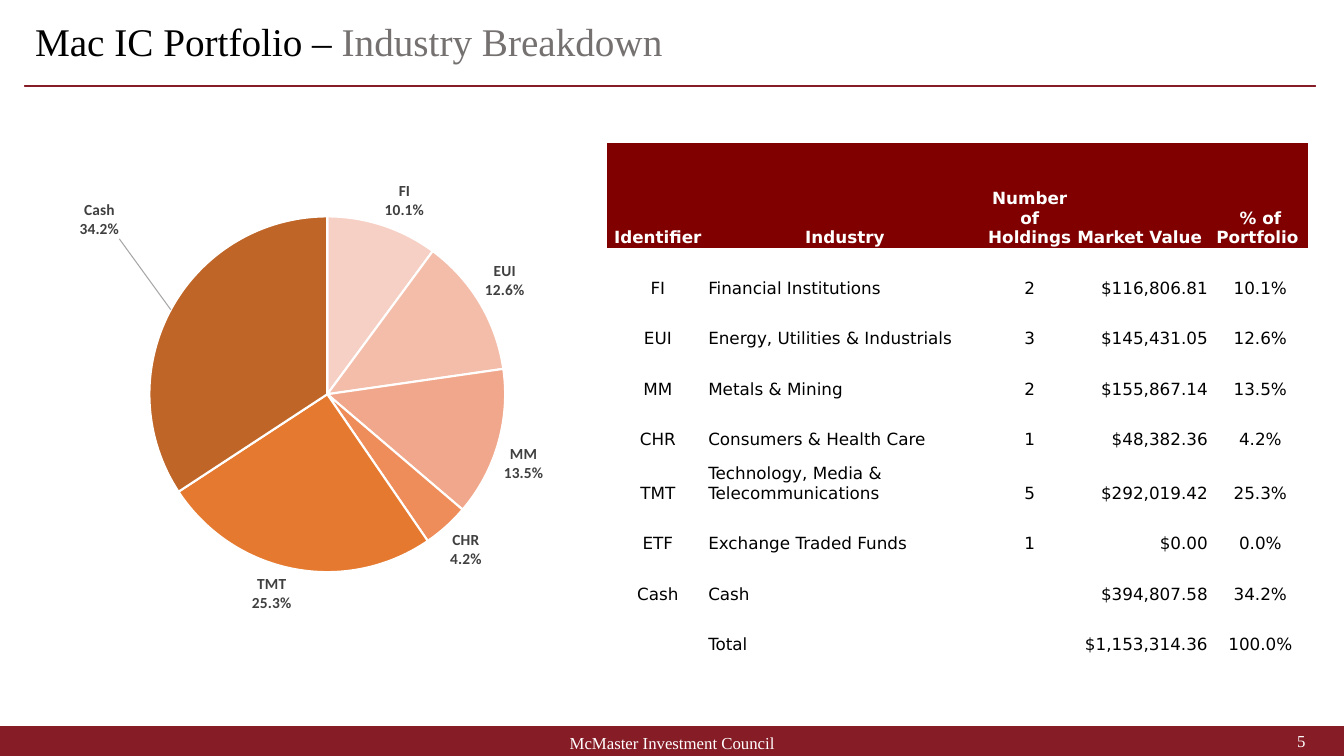
from copy import deepcopy
from dataclasses import dataclass

from lxml.etree import SubElement
from pptx import Presentation
from pptx.chart.data import CategoryChartData
from pptx.dml.color import RGBColor
from pptx.enum.chart import XL_CHART_TYPE, XL_LABEL_POSITION
from pptx.enum.shapes import MSO_SHAPE
from pptx.enum.text import MSO_ANCHOR, PP_ALIGN
from pptx.oxml import parse_xml
from pptx.oxml.ns import nsdecls, qn
from pptx.slide import Slide
from pptx.util import Pt

MAROON = RGBColor(0x86, 0x1C, 0x26)
HEADER_RED = RGBColor(0x80, 0x00, 0x00)
BLACK = RGBColor(0x00, 0x00, 0x00)
WHITE = RGBColor(0xFF, 0xFF, 0xFF)
TITLE_GREY = RGBColor(0x76, 0x71, 0x71)
LABEL_GREY = RGBColor(0x40, 0x40, 0x40)
SERIF, TABLE_FONT, CHART_FONT = "Times New Roman", "DejaVu Sans", "Calibri"
PERCENT_FORMAT = r"0.0%;\(0.0%\)"
NO_TABLE_STYLE = "{2D5ABB26-0587-4C30-8999-92F81FD0307C}"
LEFT, CENTER, RIGHT = PP_ALIGN.LEFT, PP_ALIGN.CENTER, PP_ALIGN.RIGHT


@dataclass
class Bar:
    left: float
    top: float
    width: float
    height: float


@dataclass
class Caption:
    left: float
    top: float
    width: float
    height: float
    spans: list[tuple[str, RGBColor]]
    size: float
    align: PP_ALIGN


@dataclass
class Column:
    heading: str
    width: float
    align: PP_ALIGN


@dataclass
class Industry:
    identifier: str
    name: str
    holdings: str
    value: str
    share: float
    color: RGBColor | None = None
    height: float = 36.1

    def texts(self) -> list[str]:
        return [self.identifier, self.name, self.holdings, self.value, f"{self.share:.1%}"]


BARS = [Bar(0, 519.1, 960, 23.8), Bar(18, 61.2, 921.6, 0.7)]
CAPTIONS = [
    Caption(18, 13.7, 921.6, 34.6,
            [("Mac IC Portfolio – ", BLACK), ("Industry Breakdown", TITLE_GREY)], 28, LEFT),
    Caption(318.2, 524.2, 324, 14.4, [("McMaster Investment Council", WHITE)], 12, CENTER),
    Caption(723.6, 522.7, 216, 14.4, [("5", WHITE)], 12, RIGHT),
]
COLUMNS = [
    Column(" Identifier ", 72, CENTER),
    Column("Industry ", 199.4, LEFT),
    Column("Number of Holdings ", 60.5, CENTER),
    Column("Market Value ", 100.8, RIGHT),
    Column("% of Portfolio ", 67.4, CENTER),
]
INDUSTRIES = [
    Industry("FI", "Financial Institutions", "2", "$116,806.81 ", 0.101, RGBColor(0xF7, 0xD0, 0xC5)),
    Industry("EUI", "Energy, Utilities & Industrials", "3", "$145,431.05 ", 0.126,
             RGBColor(0xF4, 0xBD, 0xAA)),
    Industry("MM", "Metals & Mining", "2", "$155,867.14 ", 0.135, RGBColor(0xF1, 0xA7, 0x8B)),
    Industry("CHR", "Consumers & Health Care", "1", "$48,382.36 ", 0.042, RGBColor(0xEE, 0x8C, 0x5A)),
    Industry("TMT", "Technology, Media & Telecommunications", "5", "$292,019.42 ", 0.253,
             RGBColor(0xE5, 0x79, 0x2F), 38.2),
    Industry("ETF", "Exchange Traded Funds", "1", "$0.00 ", 0, RGBColor(0xD2, 0x6F, 0x2B)),
    Industry("Cash", "Cash", "", "$394,807.58 ", 0.342, RGBColor(0xBF, 0x65, 0x28)),
]
TOTAL = Industry("", "Total", "", "$1,153,314.36 ", 1)


def draw_bar(page: Slide, bar: Bar) -> None:
    shape = page.shapes.add_shape(MSO_SHAPE.RECTANGLE, Pt(bar.left), Pt(bar.top),
                                  Pt(bar.width), Pt(bar.height))
    shape.shadow.inherit = False
    shape.fill.solid()
    shape.fill.fore_color.rgb = MAROON
    shape.line.color.rgb = MAROON
    shape.line.width = Pt(1)


def draw_caption(page: Slide, caption: Caption) -> None:
    box = page.shapes.add_textbox(Pt(caption.left), Pt(caption.top),
                                  Pt(caption.width), Pt(caption.height))
    box.text_frame.word_wrap = True
    box.text_frame.vertical_anchor = MSO_ANCHOR.MIDDLE
    para = box.text_frame.paragraphs[0]
    para.alignment = caption.align
    para.line_spacing = 0.9
    for text, color in caption.spans:
        span = para.add_run()
        span.text = text
        span.font.name, span.font.size = SERIF, Pt(caption.size)
        span.font.color.rgb = color


def draw_pie(page: Slide) -> None:
    data = CategoryChartData(number_format=PERCENT_FORMAT)
    data.categories = [industry.identifier for industry in INDUSTRIES]
    data.add_series("Series 1", [industry.share for industry in INDUSTRIES])
    chart = page.shapes.add_chart(XL_CHART_TYPE.PIE, Pt(0), Pt(72.7), Pt(472.3), Pt(405.4),
                                  data).chart
    chart.has_legend = chart.has_title = False
    chart.font.name, chart.font.size = CHART_FONT, Pt(10)
    chart.font.color.rgb = BLACK
    plot = chart.plots[0]
    plot.vary_by_categories = True
    series = plot.series[0]
    for index, industry in enumerate(INDUSTRIES):
        wedge = series.points[index].format
        wedge.fill.solid()
        wedge.fill.fore_color.rgb = industry.color
        wedge.line.color.rgb = WHITE
        wedge.line.width = Pt(1.5)

    # Plot area position
    area = chart.element.find(".//" + qn("c:plotArea"))
    for old in area.findall(qn("c:layout")):
        area.remove(old)
    area.insert(0, parse_xml(
        f'<c:layout {nsdecls("c")}><c:manualLayout><c:layoutTarget val="inner"/>'
        '<c:xMode val="edge"/><c:yMode val="edge"/><c:x val="0.226"/><c:y val="0.141"/>'
        '<c:w val="0.538"/><c:h val="0.749"/></c:manualLayout></c:layout>'))

    # Labels shared by all slices
    labels = series.data_labels
    labels.show_value = labels.show_category_name = True
    labels.number_format, labels.number_format_is_linked = PERCENT_FORMAT, False
    labels.position = XL_LABEL_POSITION.OUTSIDE_END
    labels.font.name, labels.font.size, labels.font.bold = CHART_FONT, Pt(11), True
    labels.font.color.rgb = LABEL_GREY
    group = series.data_labels._element
    separator = parse_xml(f'<c:separator {nsdecls("c")}>\n</c:separator>')
    group.find(qn("c:showBubbleSize")).addnext(separator)
    for old in group.findall(qn("c:showLeaderLines")):
        group.remove(old)
    leader = parse_xml(f'<c:showLeaderLines {nsdecls("c")} val="1"/>')
    separator.addnext(leader)
    leader.addnext(parse_xml(
        f'<c:leaderLines {nsdecls("c", "a")}><c:spPr><a:ln w="9525"><a:solidFill>'
        '<a:srgbClr val="A6A6A6"/></a:solidFill></a:ln></c:spPr></c:leaderLines>'))

    # The empty slice has no label; the cash label stands off with a leader line
    empty = parse_xml(f'<c:dLbl {nsdecls("c")}><c:idx val="5"/><c:delete val="1"/></c:dLbl>')
    cash = parse_xml(
        f'<c:dLbl {nsdecls("c")}><c:idx val="6"/><c:layout><c:manualLayout>'
        '<c:x val="-0.07"/><c:y val="-0.12"/></c:manualLayout></c:layout></c:dLbl>')
    for tag in ("numFmt", "spPr", "txPr", "dLblPos", "showLegendKey", "showVal", "showCatName",
                "showSerName", "showPercent", "showBubbleSize", "separator"):
        setting = group.find(qn("c:" + tag))
        if setting is not None:
            cash.append(deepcopy(setting))
    group.insert(0, empty)
    group.insert(1, cash)


def draw_table(page: Slide) -> None:
    rows = INDUSTRIES + [TOTAL]
    frame = page.shapes.add_table(len(rows) + 1, len(COLUMNS), Pt(433.9), Pt(102.2),
                                  Pt(500.1), Pt(365.8))
    table = frame.table
    table.horz_banding = False
    properties = table._tbl.tblPr
    for style in properties.findall(qn("a:tableStyleId")):
        properties.remove(style)
    SubElement(properties, qn("a:tableStyleId")).text = NO_TABLE_STYLE
    for column, spec_column in zip(table.columns, COLUMNS):
        column.width = Pt(spec_column.width)
    heights = [74.9] + [row.height for row in rows]
    texts = [[column.heading for column in COLUMNS]] + [row.texts() for row in rows]
    for row_index, (height, row_texts) in enumerate(zip(heights, texts)):
        table.rows[row_index].height = Pt(height)
        is_header = row_index == 0
        for column_index, text in enumerate(row_texts):
            cell = table.cell(row_index, column_index)
            cell.margin_left = cell.margin_right = cell.margin_top = cell.margin_bottom = 0
            cell.vertical_anchor = MSO_ANCHOR.BOTTOM
            if is_header:
                cell.fill.solid()
                cell.fill.fore_color.rgb = HEADER_RED
            else:
                cell.fill.background()
            para = cell.text_frame.paragraphs[0]
            para.text = text
            para.alignment = CENTER if is_header else COLUMNS[column_index].align
            for span in para.runs:
                span.font.name, span.font.size, span.font.bold = TABLE_FONT, Pt(12), is_header
                span.font.color.rgb = WHITE if is_header else BLACK


def main() -> None:
    deck = Presentation()
    deck.slide_width, deck.slide_height = Pt(960), Pt(540)
    page = deck.slides.add_slide(deck.slide_layouts[6])
    for bar in BARS:
        draw_bar(page, bar)
    for caption in CAPTIONS:
        draw_caption(page, caption)
    draw_pie(page)
    draw_table(page)
    deck.save("out.pptx")


if __name__ == "__main__":
    main()
